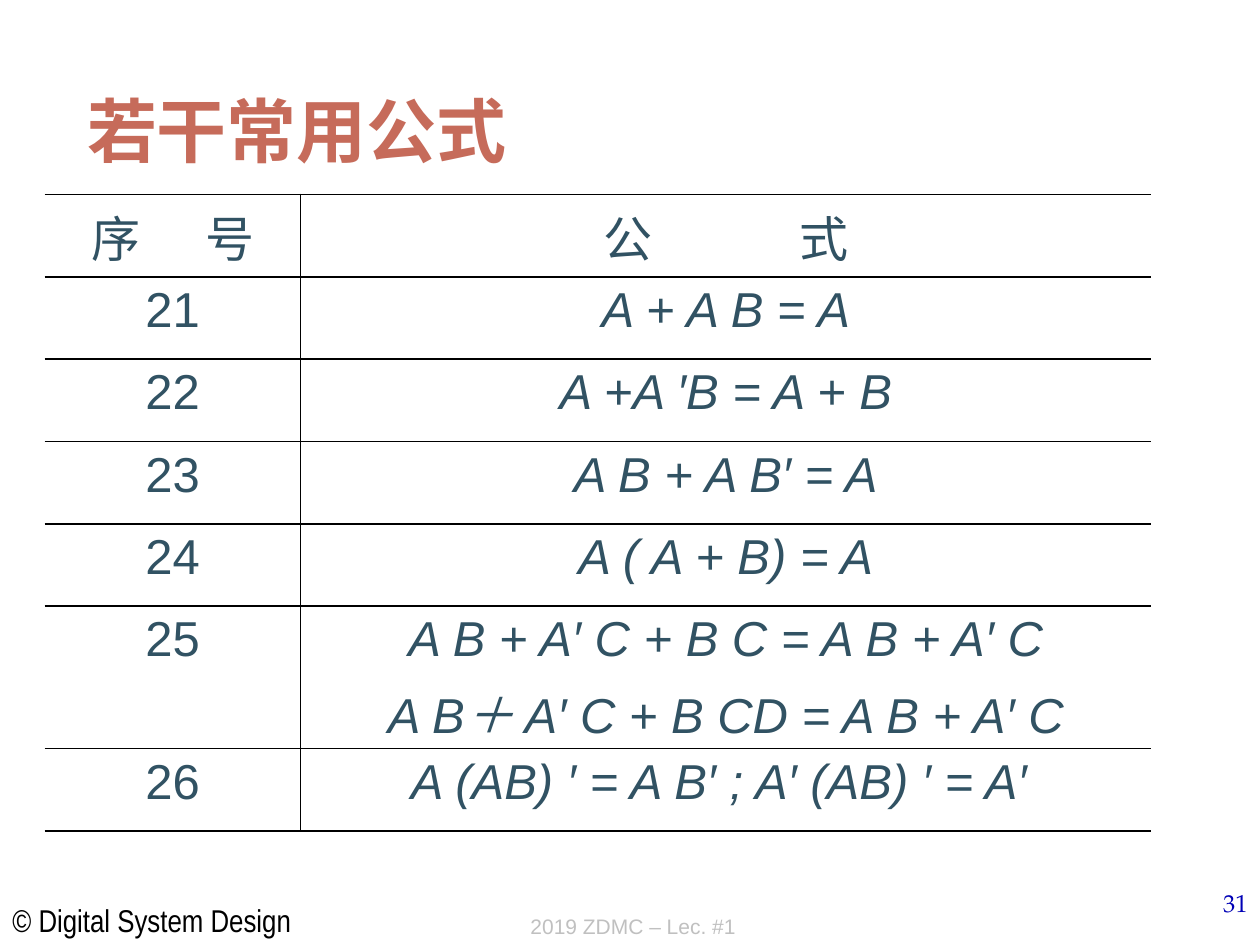
"""Build the slide of common Boolean algebra formulas."""
from lxml import etree
from pptx import Presentation
from pptx.dml.color import RGBColor
from pptx.enum.text import MSO_ANCHOR, MSO_AUTO_SIZE, PP_ALIGN
from pptx.oxml.ns import qn
from pptx.util import Cm, Pt

BLACK = RGBColor(0x00, 0x00, 0x00)
SILVER = RGBColor(0xC0, 0xC0, 0xC0)
NAVY = RGBColor(0x00, 0x00, 0xB6)
TERRACOTTA = RGBColor(0xC6, 0x6B, 0x5A)
SLATE = RGBColor(0x31, 0x52, 0x63)


def add_run(paragraph, text, size, name, color, **extras):
    run = paragraph.add_run()
    run.text = text
    run.font.color.rgb = color
    formats = {"size": Pt(size), "name": name, **extras}
    for attribute, value in formats.items():
        setattr(run.font, attribute, value)
    return run


def add_border(cell, side, visible):
    line = etree.SubElement(cell._tc.get_or_add_tcPr(), qn(f"a:ln{side}"), w=str(Pt(1)))
    if visible:
        fill = etree.SubElement(line, qn("a:solidFill"))
        etree.SubElement(fill, qn("a:srgbClr"), val=str(BLACK))
    else:
        etree.SubElement(line, qn("a:noFill"))


presentation = Presentation()
presentation.slide_width, presentation.slide_height = Cm(25.4), Cm(19.05)
slide = presentation.slides.add_slide(presentation.slide_layouts[5])

title = slide.shapes.title
title_place = {"left": Cm(1.5), "top": Cm(1.12), "width": Cm(22.86), "height": Cm(2.46)}
for attribute, value in title_place.items():
    setattr(title, attribute, value)
title.text_frame.vertical_anchor = MSO_ANCHOR.BOTTOM
title.text_frame.auto_size = MSO_AUTO_SIZE.NONE
heading = title.text_frame.paragraphs[0]
heading.alignment = PP_ALIGN.LEFT
add_run(heading, "若干常用公式", 40, "Arial Narrow", TERRACOTTA, bold=True)

FOOTERS = [
    ("© Digital System Design", (0, 18.03, 6.15, 1.02), PP_ALIGN.LEFT, MSO_ANCHOR.TOP,
     False, (18, "Arial Narrow", BLACK)),
    ("31", (20.12, 17.78, 5.28, 1.27), PP_ALIGN.RIGHT, MSO_ANCHOR.TOP,
     True, (14, "TeX Gyre Pagella", NAVY)),
    ("2019 ZDMC – Lec. #1", (6.58, 17.75, 12.37, 1.3), PP_ALIGN.CENTER, MSO_ANCHOR.BOTTOM,
     True, (12, "Arial", SILVER)),
]
for text, place, alignment, anchor, wrap, style in FOOTERS:
    frame = slide.shapes.add_textbox(*(Cm(length) for length in place)).text_frame
    frame.word_wrap = wrap
    frame.vertical_anchor = anchor
    frame.paragraphs[0].alignment = alignment
    add_run(frame.paragraphs[0], text, *style)

HEADERS = [("序", "号", 31.1), ("公", "式", 77.8)]
FORMULAS = [
    ("21", ["A + A B = A"]),
    ("22", ["A +A ′B = A + B"]),
    ("23", ["A B + A B′ = A"]),
    ("24", ["A ( A + B) = A"]),
    ("25", ["A B + A′ C + B C = A B + A′ C", "A B＋ A′ C + B CD = A B + A′ C"]),
    ("26", ["A (AB) ′ = A B′ ; A′ (AB) ′ = A′ "]),
]
BODY = (28, "Arial", SLATE)
ROW_HEIGHTS = [Cm(1.66)] + [Cm(1.66 if len(lines) == 1 else 2.87) for _, lines in FORMULAS]
COLUMN_WIDTHS = [Cm(5.16), Cm(17.14)]

table = slide.shapes.add_table(
    len(ROW_HEIGHTS), len(COLUMN_WIDTHS), Cm(0.9), Cm(3.92),
    sum(COLUMN_WIDTHS), sum(ROW_HEIGHTS)).table
table.first_row = table.horz_banding = False
for row, height in zip(table.rows, ROW_HEIGHTS):
    row.height = height
for column, width in zip(table.columns, COLUMN_WIDTHS):
    column.width = width

for cell, (first, last, gap) in zip(table.rows[0].cells, HEADERS):
    paragraph = cell.text_frame.paragraphs[0]
    add_run(paragraph, first, *BODY)
    spacer = add_run(paragraph, " ", *BODY)
    spacer._r.get_or_add_rPr().set("spc", str(round(gap * 100)))
    add_run(paragraph, last, *BODY)

for row_index, (number, lines) in enumerate(FORMULAS, start=1):
    add_run(table.cell(row_index, 0).text_frame.paragraphs[0], number, *BODY)
    frame = table.cell(row_index, 1).text_frame
    for line_index, formula in enumerate(lines):
        paragraph = frame.add_paragraph() if line_index else frame.paragraphs[0]
        add_run(paragraph, formula, *BODY, italic=True)

for row in table.rows:
    for column_index, cell in enumerate(row.cells):
        for side, visible in {"L": column_index == 1, "R": column_index == 0,
                              "T": True, "B": True}.items():
            add_border(cell, side, visible)
        cell.fill.background()
        for paragraph in cell.text_frame.paragraphs:
            paragraph.alignment = PP_ALIGN.CENTER
            paragraph.space_before = Pt(5.6)

presentation.save("out.pptx")
